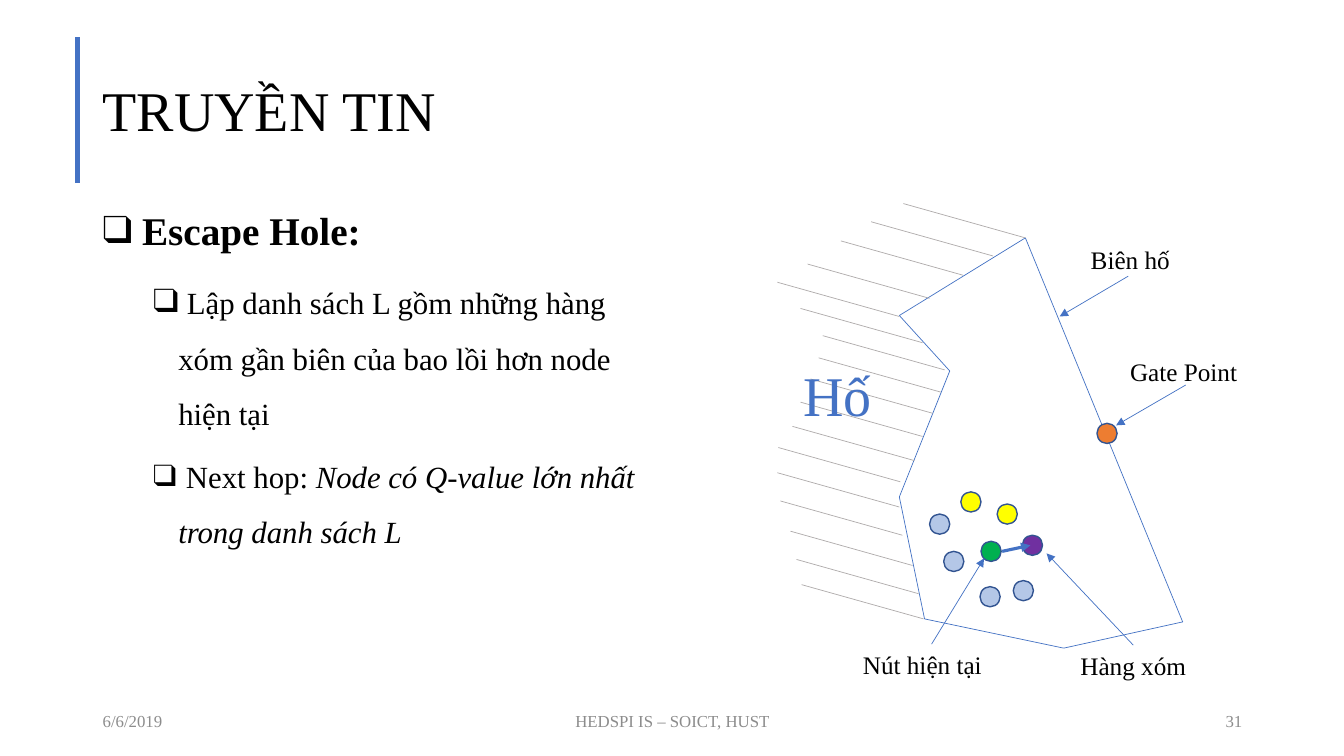
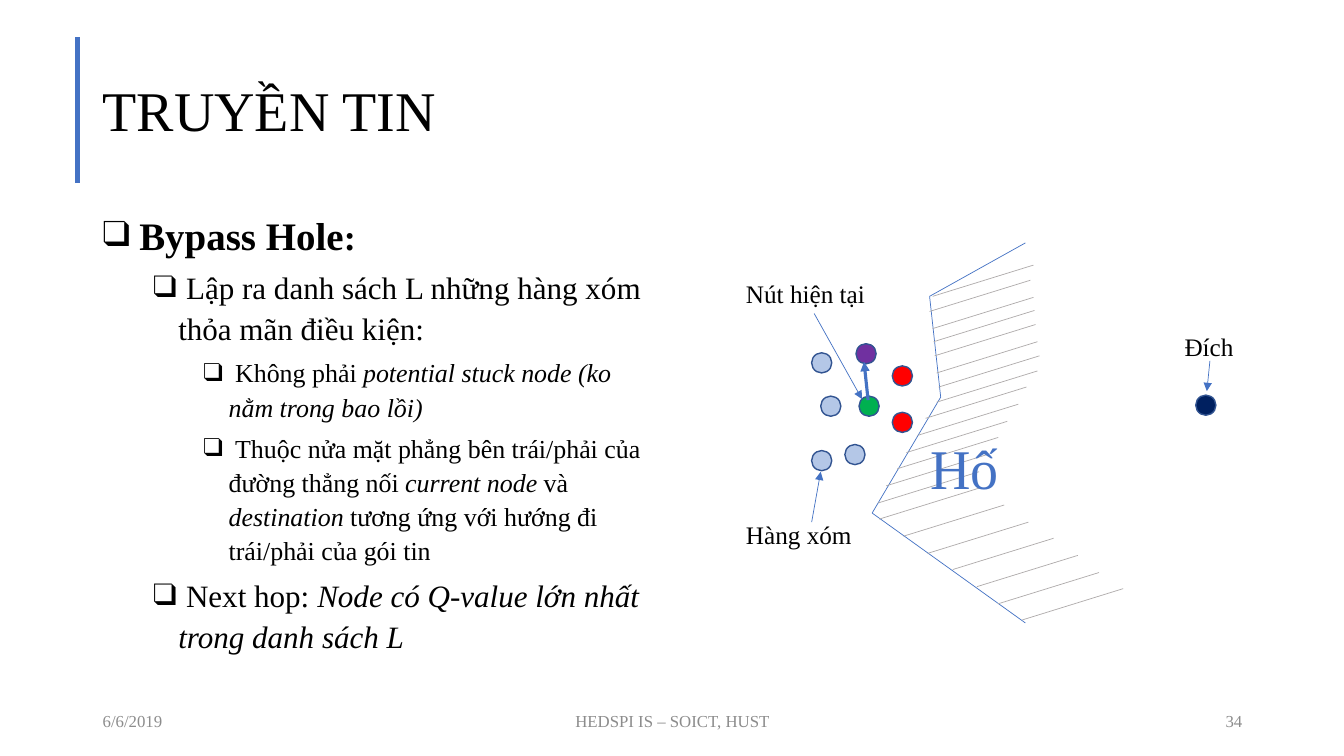
from itertools import pairwise

from lxml.etree import SubElement
from pptx import Presentation
from pptx.dml.color import RGBColor
from pptx.enum.shapes import MSO_CONNECTOR as Connector, MSO_SHAPE as Shape
from pptx.enum.text import MSO_ANCHOR as Anchor, PP_ALIGN as Align
from pptx.oxml.ns import qn
from pptx.util import Pt

PX = 9144
FONT = "Times New Roman"
COLORS = {
    "text": "000000", "accent": "4472C4", "footer": "8C8C8C", "hatch": "AFABAB",
    "ring": "325491", "current": "00B050", "next": "7030A0", "gate": "ED7D31",
    "candidate": "FFFF00", "neighbor": "B4C7E7", "rejected": "FF0000",
    "target": "002060",
}
PAGE = (0, 0, 1333, 750)
BODY = (92, 200, 567, 476)
NODE_SIZE = 20
LABEL_HEIGHT = 40
TOP, BOTTOM = 0, 2

ESCAPE_TEXT = [
    (0, 28, 1, [(" ", ""), ("Escape Hole:", "b")]),
    (1, 22, 1.5, [(" ", "b", 24), ("Lập danh sách L gồm những hàng xóm gần biên của bao lồi hơn node hiện tại", "")]),
    (1, 22, 1.5, [(" Next hop: ", ""), ("Node có Q-value lớn nhất trong danh sách L", "i")]),
]
BYPASS_TEXT = [
    (0, 25.9, 1.1, [(" ", ""), ("Bypass Hole", "b", 27.8), (":", "b")]),
    (1, 22.2, 1.1, [(" ", "b"), ("Lập ra danh sách L những hàng xóm thỏa mãn điều kiện:", "")]),
    (2, 18.5, 1.1, [(" ", "b"), ("Không phải ", ""), ("potential stuck node (ko nằm trong bao lồi)", "i")]),
    (2, 18.5, 1.1, [
        (" ", "b"), ("Thuộc nửa mặt phẳng bên trái/phải của đường thẳng nối ", ""),
        ("current node ", "i"), ("và ", ""), ("destination", "i"),
        (" tương ứng với hướng đi trái/phải của gói tin", ""),
    ]),
    (1, 22.2, 1.1, [(" Next hop: ", ""), ("Node có Q-value lớn nhất trong danh sách L", "i")]),
]

ESCAPE_HOLE = {
    "box": (770, 200, 500, 480),
    "outline": [(247, 36), (122, 113), (172, 168), (122, 293), (147, 414),
                (285, 443), (403, 417), (247, 36)],
    "hatch_step": (-121, -34),
    "hatches": [(215, 54), (247, 36), (185, 73), (152, 96), (122, 114), (145, 140),
                (167, 167), (163, 189), (155, 210), (145, 233), (137, 257), (123, 278),
                (122, 303), (125, 331), (135, 361), (141, 389), (146, 414)],
    "name": (4, 153),
    "nodes": {
        "current": [(203, 337)], "gate": [(318, 220)], "next": [(244, 331)],
        "candidate": [(219, 300), (183, 288)],
        "neighbor": [(235, 376), (166, 347), (152, 310), (202, 382)],
    },
    "labels": [
        ("Biên hố", (302, 37), 126, Align.LEFT, (349, 74), (281, 114)),
        ("Gate Point", (341, 149), 156, Align.LEFT, (406, 182), (337, 222)),
        ("Nút hiện tại", (76, 439), 156, Align.LEFT, TOP, (206, 354)),
        ("Hàng xóm", (276, 440), 156, Align.CENTER, TOP, (268, 349)),
    ],
    "hop": ((224, 347), (252, 341)),
}
BYPASS_HOLE = {
    "box": (730, 240, 520, 380),
    "outline": [(287, 1), (192, 54), (203, 154), (135, 269), (287, 378)],
    "hatch_step": (100, -31),
    "hatches": [(195, 54), (192, 69), (195, 86), (196, 99), (197, 113), (199, 130),
                (201, 144), (199, 159), (188, 175), (180, 192), (169, 209), (160, 225),
                (149, 242), (141, 259), (142, 275), (166, 292), (190, 309), (215, 325),
                (239, 342), (260, 359), (284, 375)],
    "name": (170, 185),
    "nodes": {
        "current": [(122, 153)], "next": [(119, 101)], "target": [(456, 152)],
        "neighbor": [(84, 153), (108, 201), (75, 207), (75, 110)],
        "rejected": [(155, 123), (155, 169)],
    },
    "labels": [
        ("Đích", (435, 84), 83, Align.LEFT, (470, 118), (467, 148)),
        ("Nút hiện tại", (0, 31), 155, Align.LEFT, BOTTOM, (125, 156)),
        ("Hàng xóm", (0, 270), 155, Align.LEFT, (75, 278), (84, 228)),
    ],
    "hop": ((131, 157), (127, 119)),
}


def rgb(name):
    return RGBColor.from_string(COLORS[name])


def place(box, point):
    return (box[0] + point[0]) * PX, (box[1] + point[1]) * PX


def add_line(slide, box, start, end, color="accent", width=0.5, arrow=False):
    line = slide.shapes.add_connector(
        Connector.STRAIGHT, *place(box, start), *place(box, end))
    line.line.color.rgb = rgb(color)
    line.line.width = Pt(width)
    properties = line._element.spPr
    if arrow:
        SubElement(properties.find(qn("a:ln")), qn("a:tailEnd"), type="triangle")
    SubElement(properties, qn("a:effectLst"))
    return line


def add_frame(slide, box, point, width, height, anchor=Anchor.TOP):
    holder = slide.shapes.add_textbox(*place(box, point), width * PX, height * PX)
    holder.text_frame.word_wrap = True
    holder.text_frame.vertical_anchor = anchor
    return holder


def style(paragraph, size, color="text"):
    paragraph.font.name = FONT
    paragraph.font.color.rgb = rgb(color)
    if size:
        paragraph.font.size = Pt(size)


def add_text(slide, box, text, point, width, height, size,
             color="text", align=Align.LEFT, anchor=Anchor.TOP):
    holder = add_frame(slide, box, point, width, height, anchor)
    paragraph = holder.text_frame.paragraphs[0]
    paragraph.text = text
    paragraph.alignment = align
    style(paragraph, size, color)
    return holder


def draw_page(slide, box, title, number):
    add_line(slide, box, (77, 37), (77, 182), width=3)
    heading = add_text(slide, box, title, (92, 40), 1150, 145, 40, anchor=Anchor.MIDDLE)
    heading.text_frame.paragraphs[0].line_spacing = 0.9
    footers = [
        ("6/6/2019", 92, 300, Align.LEFT),
        ("HEDSPI IS – SOICT, HUST", 442, 450, Align.CENTER),
        (number, 942, 300, Align.RIGHT),
    ]
    for text, left, width, align in footers:
        add_text(slide, box, text, (left, 695), width, 40, 12, "footer", align, Anchor.MIDDLE)


def draw_outline_text(slide, box, items):
    frame = add_frame(slide, box, (0, 0), box[2], box[3]).text_frame
    for index, (level, size, spacing, pieces) in enumerate(items):
        paragraph = frame.add_paragraph() if index else frame.paragraphs[0]
        paragraph.level = level
        paragraph.line_spacing = spacing
        if index:
            paragraph.space_before = Pt(5)
        properties = paragraph._p.get_or_add_pPr()
        properties.set("marL", str((25 + 50 * level) * PX))
        properties.set("indent", str(-25 * PX))
        SubElement(properties, qn("a:buFont"), typeface=FONT)
        SubElement(properties, qn("a:buChar"), char="❑")
        same_size = all(len(piece) == 2 for piece in pieces)
        style(paragraph, size if same_size else None)
        for text, emphasis, *own_size in pieces:
            run = paragraph.add_run()
            run.text = text
            if emphasis == "b":
                run.font.bold = True
            if emphasis == "i":
                run.font.italic = True
            if not same_size:
                run.font.size = Pt(own_size[0] if own_size else size)


def draw_node(slide, box, point, kind):
    node = slide.shapes.add_shape(
        Shape.OVAL, *place(box, point), NODE_SIZE * PX, NODE_SIZE * PX)
    node.shadow.inherit = False
    node.fill.solid()
    node.fill.fore_color.rgb = rgb(kind)
    node.line.color.rgb = rgb("ring")
    node.line.width = Pt(1)


def draw_label(slide, box, text, point, width, align, start, target):
    label = add_text(slide, box, text, point, width, LABEL_HEIGHT, 18, align=align)
    if start in (TOP, BOTTOM):
        edge = point[1] + (LABEL_HEIGHT if start == BOTTOM else 0)
        pointer = add_line(slide, box, (point[0] + width // 2, edge), target, arrow=True)
        pointer.begin_connect(label, start)
    else:
        add_line(slide, box, start, target, arrow=True)


def draw_hole(slide, box, hole):
    for start, end in pairwise(hole["outline"]):
        add_line(slide, box, start, end)
    step_x, step_y = hole["hatch_step"]
    for x, y in hole["hatches"]:
        add_line(slide, box, (x, y), (x + step_x, y + step_y), "hatch")
    add_text(slide, box, "Hố", hole["name"], 113, 77, 40, "accent", Align.CENTER)
    for kind, points in hole["nodes"].items():
        for point in points:
            draw_node(slide, box, point, kind)
    for label in hole["labels"]:
        draw_label(slide, box, *label)
    add_line(slide, box, *hole["hop"], width=2.25, arrow=True)


def main():
    deck = Presentation()
    deck.slide_width = PAGE[2] * PX
    deck.slide_height = PAGE[3] * PX
    blank = deck.slide_layouts[6]
    for number, items, hole in (("31", ESCAPE_TEXT, ESCAPE_HOLE),
                                ("34", BYPASS_TEXT, BYPASS_HOLE)):
        slide = deck.slides.add_slide(blank)
        draw_page(slide, PAGE, "TRUYỀN TIN", number)
        draw_outline_text(slide, BODY, items)
        draw_hole(slide, hole["box"], hole)
    deck.save("out.pptx")


if __name__ == "__main__":
    main()
